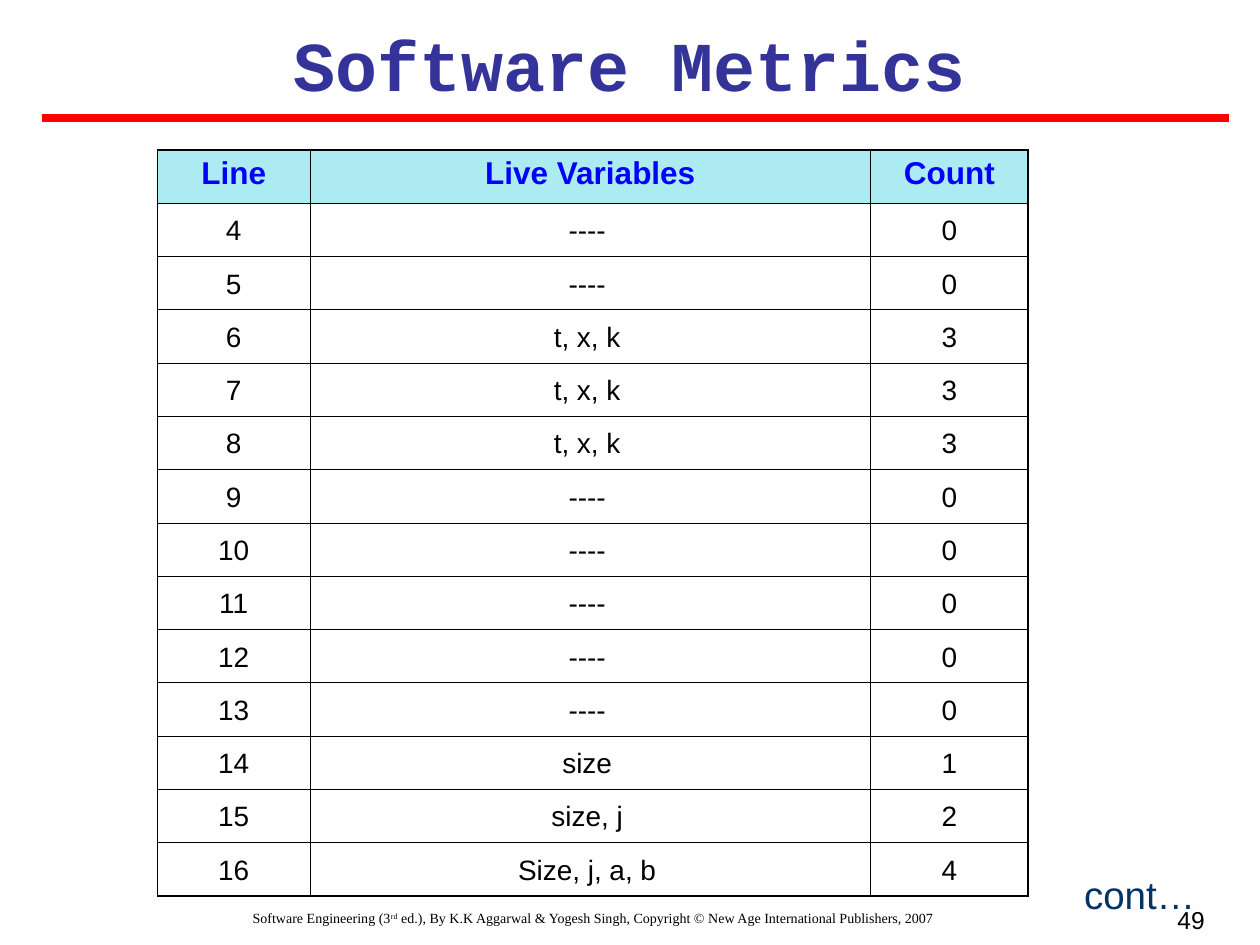
from pptx import Presentation
from pptx.dml.color import RGBColor
from pptx.enum.text import MSO_ANCHOR, PP_ALIGN
from pptx.oxml.ns import qn
from pptx.util import Inches, Pt
from lxml.etree import SubElement

COLORS = {
    "title": "333399", "rule": "FF0000", "header": "0000FF",
    "header_fill": "ACEBF2", "body": "000000", "continued": "003366",
}
HEADINGS = ["Line", "Live Variables", "Count"]
LIVE_VARIABLES = [
    ("4", "----", "0"),
    ("5", "----", "0"),
    ("6", "t, x, k", "3"),
    ("7", "t, x, k", "3"),
    ("8", "t, x, k", "3"),
    ("9", "----", "0"),
    ("10", "----", "0"),
    ("11", "----", "0"),
    ("12", "----", "0"),
    ("13", "----", "0"),
    ("14", "size", "1"),
    ("15", "size, j", "2"),
    ("16", "Size, j, a, b", "4"),
]
FOOTER = [
    ("Software Engineering (3", False),
    ("rd", True),
    (" ed.), By K.K Aggarwal & Yogesh Singh, Copyright © New Age International Publishers, 2007", False),
]
TABLE_LEFT, TABLE_TOP, TABLE_WIDTH, TABLE_HEIGHT = 1.25, 1.19, 6.92, 5.92
COLUMN_WIDTHS = [1.21, 4.45, 1.25]
ENTRY_SPANS = [(1.52, 0.67), (2.7, 3.92), (7.2, 0.67)]
ENTRY_TOP, ENTRY_HEIGHT = 1.69, 0.27
ROW_COUNT = len(LIVE_VARIABLES) + 1
ROW_HEIGHT = TABLE_HEIGHT / ROW_COUNT
PADDED = (0.1, 0.05, 0.1, 0.05)
FLUSH = (0, 0, 0, 0)
THICK, THIN = 1.08, 0.45


def color(name):
    return RGBColor.from_string(COLORS[name])


def add_run(paragraph, words, size, tint, font="Arial", bold=False, raised=False):
    run = paragraph.add_run()
    run.text = words
    run.font.size = Pt(size)
    run.font.name = font
    run.font.bold = bold
    run.font.color.rgb = color(tint)
    if raised:
        run._r.get_or_add_rPr().set("baseline", "30000")


def add_text(slide, box, runs, size, tint, font="Arial", bold=False,
             align=PP_ALIGN.CENTER, insets=FLUSH):
    frame = slide.shapes.add_textbox(*map(Inches, box)).text_frame
    frame.word_wrap = True
    frame.vertical_anchor = MSO_ANCHOR.TOP
    (frame.margin_left, frame.margin_top,
     frame.margin_right, frame.margin_bottom) = map(Inches, insets)
    paragraph = frame.paragraphs[0]
    paragraph.alignment = align
    for words, raised in runs:
        add_run(paragraph, words, size, tint, font, bold, raised)


def set_borders(cell, row, column):
    outer = {"L": column == 0, "R": column == len(HEADINGS) - 1,
             "T": row == 0, "B": row == ROW_COUNT - 1}
    properties = cell._tc.get_or_add_tcPr()
    for position, (side, is_outer) in enumerate(outer.items()):
        line = SubElement(properties, qn(f"a:ln{side}"),
                          w=str(Pt(THICK if is_outer else THIN)))
        fill = SubElement(line, qn("a:solidFill"))
        SubElement(fill, qn("a:srgbClr"), val=COLORS["body"])
        properties.insert(position, line)


def add_live_variables(slide):
    table = slide.shapes.add_table(
        ROW_COUNT, len(HEADINGS), Inches(TABLE_LEFT), Inches(TABLE_TOP),
        Inches(TABLE_WIDTH), Inches(TABLE_HEIGHT)).table
    table.first_row = table.horz_banding = False
    for column, width in zip(table.columns, COLUMN_WIDTHS):
        column.width = Inches(width)
    for r, row in enumerate(table.rows):
        row.height = Inches(ROW_HEIGHT)
        for c, cell in enumerate(row.cells):
            if r == 0:
                cell.fill.solid()
                cell.fill.fore_color.rgb = color("header_fill")
                heading = cell.text_frame.paragraphs[0]
                heading.alignment = PP_ALIGN.CENTER
                add_run(heading, HEADINGS[c], 18, "header", bold=True)
            else:
                cell.fill.background()
            set_borders(cell, r, c)
    for r, entries in enumerate(LIVE_VARIABLES):
        top = ENTRY_TOP + r * ROW_HEIGHT
        for entry, (left, width) in zip(entries, ENTRY_SPANS):
            add_text(slide, (left, top, width, ENTRY_HEIGHT), [(entry, False)], 16, "body")


def main():
    deck = Presentation()
    deck.slide_width, deck.slide_height = Inches(10), Inches(7.5)
    slide = deck.slides.add_slide(deck.slide_layouts[6])

    add_text(slide, (0.25, 7.17, 8.92, 0.33), FOOTER, 8, "body",
             "Times New Roman", insets=PADDED)
    add_text(slide, (0.33, 0, 9.33, 0.77), [("Software Metrics", False)], 40, "title",
             "Courier New", bold=True, insets=(0.1, 0.17, 0.1, 0))

    rule = slide.shapes.add_connector(1, Inches(0.33), Inches(0.94), Inches(9.75), Inches(0.94))
    rule.line.color.rgb = color("rule")
    rule.line.width = Pt(4.5)
    SubElement(rule._element.spPr, qn("a:effectLst"))

    add_live_variables(slide)
    add_text(slide, (8.42, 6.91, 1.25, 0.37), [("cont…", False)], 22, "continued")
    add_text(slide, (7.33, 7.13, 2.33, 0.33), [("49", False)], 14, "body",
             align=PP_ALIGN.RIGHT, insets=PADDED)
    deck.save("out.pptx")


if __name__ == "__main__":
    main()
